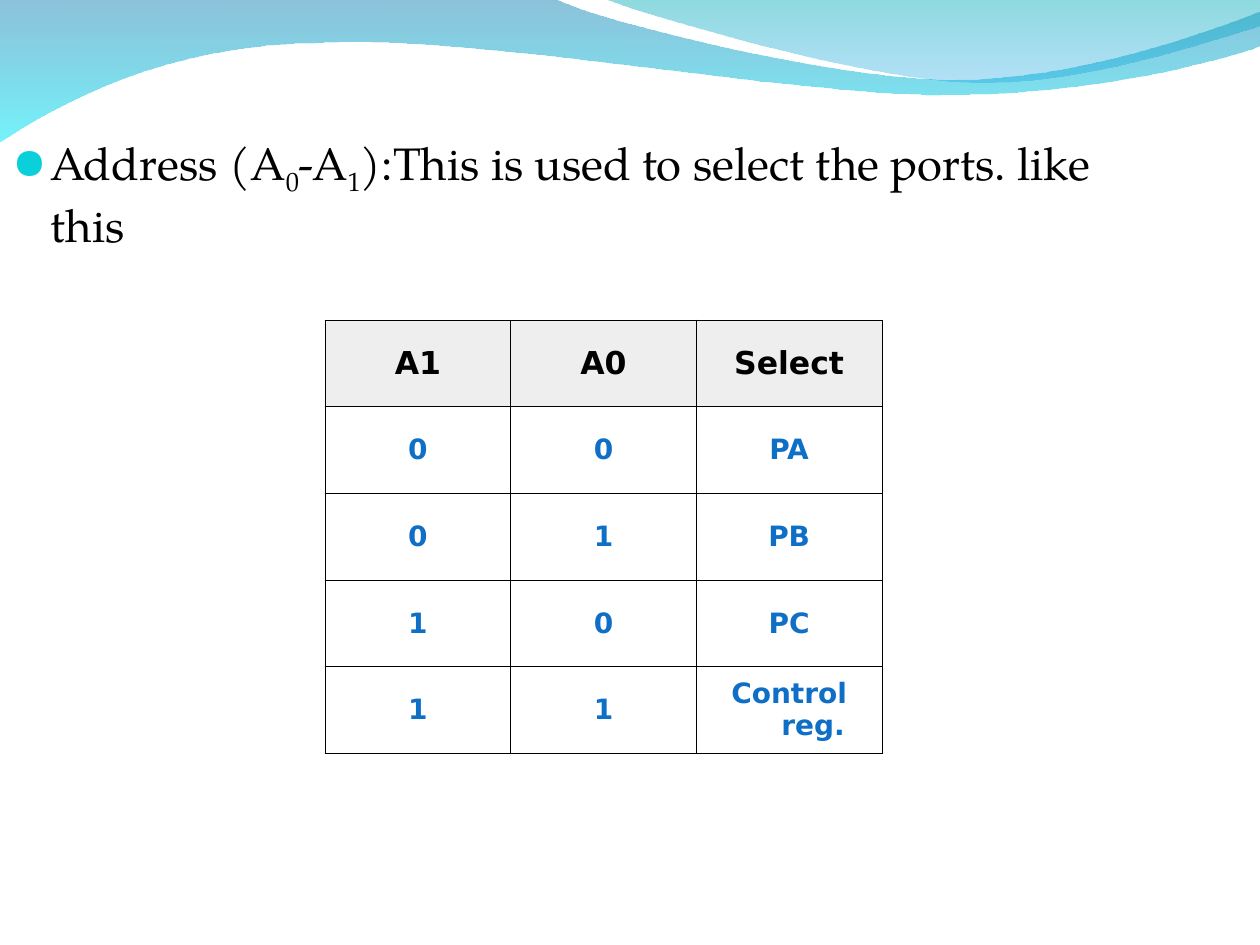
from lxml import etree
from pptx import Presentation
from pptx import util as u
from pptx.dml.color import RGBColor
from pptx.enum import text
from pptx.oxml import ns

THEME = {
    "body_font": "TeX Gyre Pagella", "body_size": 26, "bullet_font": "OpenSymbol",
    "table_font": "DejaVu Sans", "head_size": 18, "cell_size": 16,
    "ink": "000000", "value": "0F6FC6", "head_fill": "EEEEEE", "bullet": "0BD0D9",
    "border_width": 0.45,
}

# Each wave: start, segments (one point is a line, three a Bezier curve),
# then gradient stops from top to bottom as (colour, opacity in percent).
WAVES = [
    ((0, -0.01),
     [[(4.4, -0.01)],
      [(4.76, 0.17), (6.64, 0.63), (7.58, 0.63)],
      [(8.53, 0.63), (9.58, 0.26), (10, 0.09)],
      [(10.01, 0.36)],
      [(9.83, 0.44), (8.7, 0.76), (7.46, 0.75)],
      [(6.22, 0.75), (3.82, 0.28), (2.57, 0.34)],
      [(1.29, 0.35), (0.46, 0.83), (-0.01, 1.13)],
      [(0, -0.01)]],
     [("0079AF", 45), ("00EBF8", 55)]),
    ((4.79, -0.01),
     [[(5.09, 0.11), (6.82, 0.62), (7.69, 0.65)],
      [(8.56, 0.69), (9.61, 0.32), (10, 0.21)],
      [(10, 0)],
      [(4.79, -0.01)]],
     [("00ADB6", 45), ("009BE5", 30)]),
]

# (text, is subscript)
ADDRESS_RUNS = [
    ("Address (A", False), ("0", True), ("-A", False), ("1", True),
    ("):This is used to select the ports. like this", False),
]

PORT_ROWS = [
    ("A1", "A0", "Select"),
    ("0", "0", "PA"),
    ("0", "1", "PB"),
    ("1", "0", "PC"),
    ("1", "1", "Control reg."),
]
TABLE_BOX = (2.58, 2.54, 4.42, 3.44)


def add_xml(parent, tag, **attributes):
    return etree.SubElement(parent, ns.qn(tag), attributes)


def set_indent(paragraph, left, first):
    properties = paragraph._p.get_or_add_pPr()
    properties.set("marL", str(u.Inches(left)))
    properties.set("indent", str(u.Inches(first)))
    return properties


def add_run(paragraph, words, font, size, colour, bold=False):
    run = paragraph.add_run()
    run.text = words
    run.font.name, run.font.size, run.font.bold = font, u.Pt(size), bold
    run.font.color.rgb = RGBColor.from_string(colour)
    return run


def bend_curves(wave, segments):
    """Merge the straight steps of each three-point segment into one Bezier curve."""
    steps = iter(list(wave._element.spPr.iter(ns.qn("a:lnTo"))))
    for segment in segments:
        parts = [next(steps) for _ in segment]
        if len(parts) == 1:
            continue
        curve = etree.Element(ns.qn("a:cubicBezTo"))
        parts[0].addprevious(curve)
        for part in parts:
            curve.append(part[0])
            part.getparent().remove(part)


def add_wave(slide, start, segments, stops):
    points = [(u.Inches(x), u.Inches(y)) for segment in segments for x, y in segment]
    builder = slide.shapes.build_freeform(*(u.Inches(value) for value in start))
    builder.add_line_segments(points, close=True)
    wave = builder.convert_to_shape()
    bend_curves(wave, segments)
    wave.shadow.inherit = False
    wave.line.fill.background()
    wave.fill.gradient()
    wave.fill.gradient_angle = 270
    for stop, (colour, _) in zip(wave.fill.gradient_stops, stops):
        stop.color.rgb = RGBColor.from_string(colour)
    colours = wave._element.spPr.iter(ns.qn("a:srgbClr"))
    for colour, (_, opacity) in zip(colours, stops):
        add_xml(colour, "a:alpha", val=str(opacity * 1000))


def add_address(slide):
    box = slide.shapes.add_textbox(u.Inches(0), u.Inches(0.5), u.Inches(9), u.Inches(6.2))
    frame = box.text_frame
    frame.word_wrap = True
    frame.margin_top = u.Inches(0.57)
    address = frame.paragraphs[0]
    properties = set_indent(address, 0.3, -0.3)
    add_xml(add_xml(properties, "a:buClr"), "a:srgbClr", val=THEME["bullet"])
    add_xml(properties, "a:buSzPct", val="95000")
    add_xml(properties, "a:buFont", typeface=THEME["bullet_font"])
    add_xml(properties, "a:buChar", char="●")
    for words, subscript in ADDRESS_RUNS:
        run = add_run(address, words, THEME["body_font"], THEME["body_size"], THEME["ink"])
        if subscript:
            run.font._element.set("baseline", "-25000")


def add_borders(cell):
    properties = cell._tc.get_or_add_tcPr()
    for position, side in enumerate(("a:lnL", "a:lnR", "a:lnT", "a:lnB")):
        line = etree.Element(ns.qn(side), w=str(u.Pt(THEME["border_width"])))
        add_xml(add_xml(line, "a:solidFill"), "a:srgbClr", val=THEME["ink"])
        properties.insert(position, line)


def add_port_table(slide):
    ports = slide.shapes.add_table(
        len(PORT_ROWS), len(PORT_ROWS[0]), *(u.Inches(value) for value in TABLE_BOX)).table
    for r, values in enumerate(PORT_ROWS):
        is_head = r == 0
        size = THEME["head_size" if is_head else "cell_size"]
        colour = THEME["ink" if is_head else "value"]
        for c, value in enumerate(values):
            cell = ports.cell(r, c)
            cell.vertical_anchor = text.MSO_ANCHOR.MIDDLE
            if is_head:
                cell.fill.solid()
                cell.fill.fore_color.rgb = RGBColor.from_string(THEME["head_fill"])
            else:
                cell.fill.background()
            add_borders(cell)
            paragraph = cell.text_frame.paragraphs[0]
            paragraph.alignment = text.PP_ALIGN.CENTER
            set_indent(paragraph, 0.38, -0.38)
            add_run(paragraph, value, THEME["table_font"], size, colour, bold=True)


def main():
    deck = Presentation()
    deck.slide_width, deck.slide_height = u.Inches(10), u.Inches(7.5)
    slide = deck.slides.add_slide(deck.slide_layouts[6])
    for wave in WAVES:
        add_wave(slide, *wave)
    add_port_table(slide)
    add_address(slide)
    deck.save("out.pptx")


if __name__ == "__main__":
    main()
